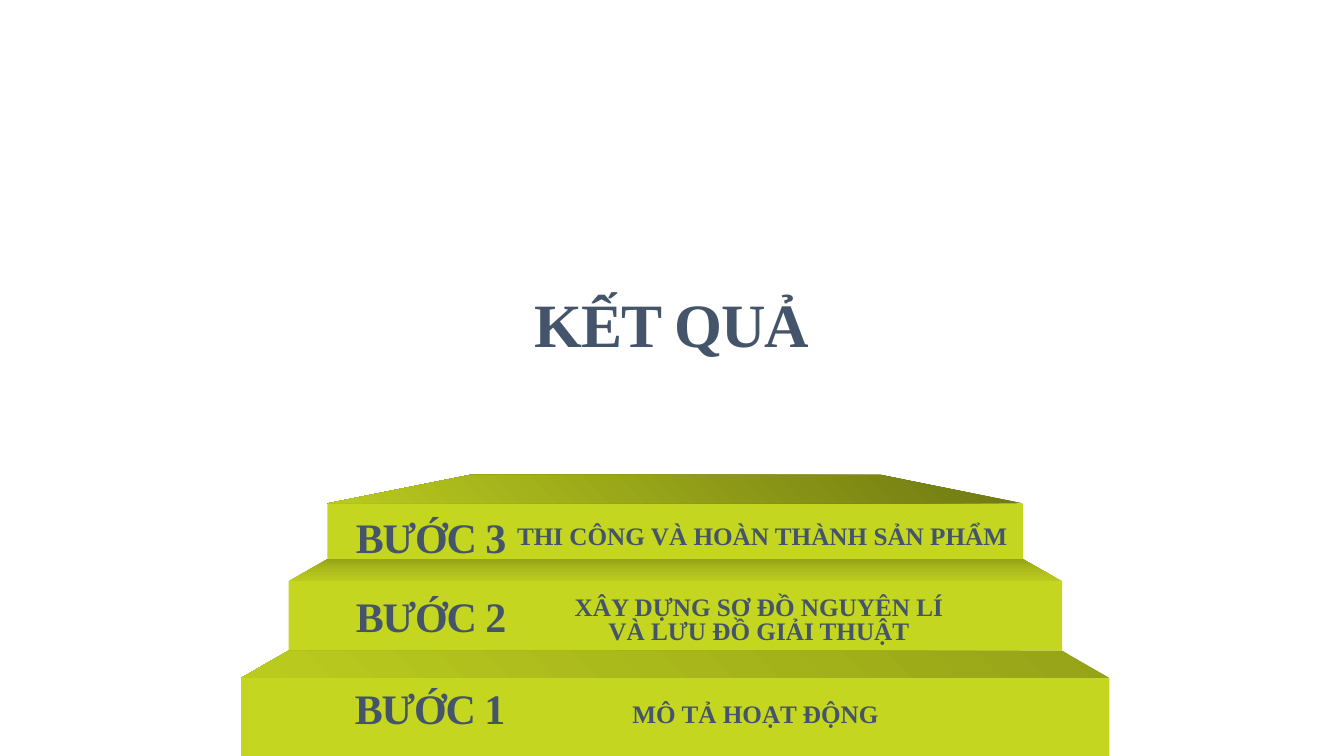
import copy

import pptx
import pptx.dml.color
import pptx.enum.text
import pptx.util

Inches = pptx.util.Inches
Pt = pptx.util.Pt
Align = pptx.enum.text.PP_ALIGN

# Content
SLIDE_SIZE = (26.67, 15)
CENTER_X = 13.4
RISER, INK = "C5D620", "44546A"
TITLE = ("KẾT QUẢ", (10.61, 5.67, 5.49, 1.48))

# Steps from bottom to top. Tread colours run along an angle (counter-clockwise).
STEPS = [
    dict(label="BƯỚC 1", label_box=(7.04, 13.53, 3, 1.01),
         detail="MÔ TẢ HOẠT ĐỘNG", detail_box=(12.55, 13.98, 5.89, 0.48),
         align=Align.LEFT, top=13.45, width=17.23, height=1.55,
         tread_depth=0.54, tread_inset=0.94,
         tread_colors=["96A318", "BBCB1E"], angle=225),
    dict(label="BƯỚC 2", label_box=(7.06, 11.71, 3, 1.01),
         detail="XÂY DỰNG SƠ ĐỒ NGUYÊN LÍ\nVÀ LƯU ĐỒ GIẢI THUẬT",
         detail_box=(10.99, 11.84, 8.14, 0.97),
         align=Align.CENTER, top=11.53, width=15.35, height=1.38,
         tread_depth=0.43, tread_inset=0.77,
         tread_colors=["BBCB1E", "ADBC1C", "96A318"], angle=90),
    dict(label="BƯỚC 3", label_box=(7.06, 10.14, 3, 1.01),
         detail="THI CÔNG VÀ HOÀN THÀNH SẢN PHẨM",
         detail_box=(10.26, 10.44, 10.34, 0.48),
         align=Align.LEFT, top=9.99, width=13.81, height=1.25,
         tread_depth=0.57, tread_inset=2.84,
         tread_colors=["6E7812", "B9C91E"], angle=225),
]


def rgb(value):
    return pptx.dml.color.RGBColor.from_string(value)


def write(shape, text, box, size, align=Align.LEFT, line_spacing=1.0,
          tracking=0, wrap=True):
    shape.left, shape.top, shape.width, shape.height = map(Inches, box)
    frame = shape.text_frame
    frame.margin_left = frame.margin_right = 0
    frame.margin_top = frame.margin_bottom = 0
    frame.vertical_anchor = pptx.enum.text.MSO_ANCHOR.MIDDLE
    frame.auto_size = pptx.enum.text.MSO_AUTO_SIZE.SHAPE_TO_FIT_TEXT
    frame.word_wrap = wrap
    paragraph = frame.paragraphs[0]
    paragraph.text = text
    paragraph.alignment = align
    paragraph.line_spacing = line_spacing
    for run in paragraph.runs:
        run.font.name = "Times New Roman"
        run.font.size = Pt(size)
        run.font.bold = True
        run.font.color.rgb = rgb(INK)
        if tracking:
            run.font._element.set("spc", str(int(tracking * 100)))


def fill_gradient(shape, colors, angle):
    shape.fill.gradient()
    shape.fill.gradient_angle = angle
    first = shape.fill.gradient_stops[0]._gs
    for _ in colors[2:]:
        first.addnext(copy.deepcopy(first))
    for i, (stop, color) in enumerate(zip(shape.fill.gradient_stops, colors)):
        stop.position = i / (len(colors) - 1)
        stop.color.rgb = rgb(color)


def finish(shape):
    shape.line.fill.background()
    shape.shadow.inherit = False


def add_riser(shapes, step):
    box = (CENTER_X - step["width"] / 2, step["top"], step["width"], step["height"])
    riser = shapes.add_shape(pptx.enum.shapes.MSO_SHAPE.RECTANGLE, *map(Inches, box))
    riser.fill.solid()
    riser.fill.fore_color.rgb = rgb(RISER)
    finish(riser)


def add_tread(shapes, step):
    front, half = step["top"], step["width"] / 2
    back, back_half = front - step["tread_depth"], half - step["tread_inset"]
    corners = [(CENTER_X + back_half, back), (CENTER_X - back_half, back),
               (CENTER_X - half, front), (CENTER_X + half, front)]
    points = [(Inches(x), Inches(y)) for x, y in corners]
    outline = shapes.build_freeform(*points[0])
    outline.add_line_segments(points[1:], close=True)
    tread = outline.convert_to_shape()
    fill_gradient(tread, step["tread_colors"], step["angle"])
    finish(tread)


def main():
    deck = pptx.Presentation()
    deck.slide_width, deck.slide_height = map(Inches, SLIDE_SIZE)
    slide = deck.slides.add_slide(deck.slide_layouts[5])
    shapes = slide.shapes

    # Staircase
    for step in STEPS:
        add_riser(shapes, step)
    for step in STEPS:
        add_tread(shapes, step)

    # Step names and descriptions
    for step in STEPS:
        write(shapes.add_textbox(0, 0, 0, 0), step["detail"], step["detail_box"],
              36, align=step["align"], line_spacing=0.8)
        write(shapes.add_textbox(0, 0, 0, 0), step["label"], step["label_box"],
              60, tracking=-1.5, wrap=False)

    # Title
    write(shapes.title, *TITLE, 88, tracking=-1.5, wrap=False)

    deck.save("out.pptx")


if __name__ == "__main__":
    main()
